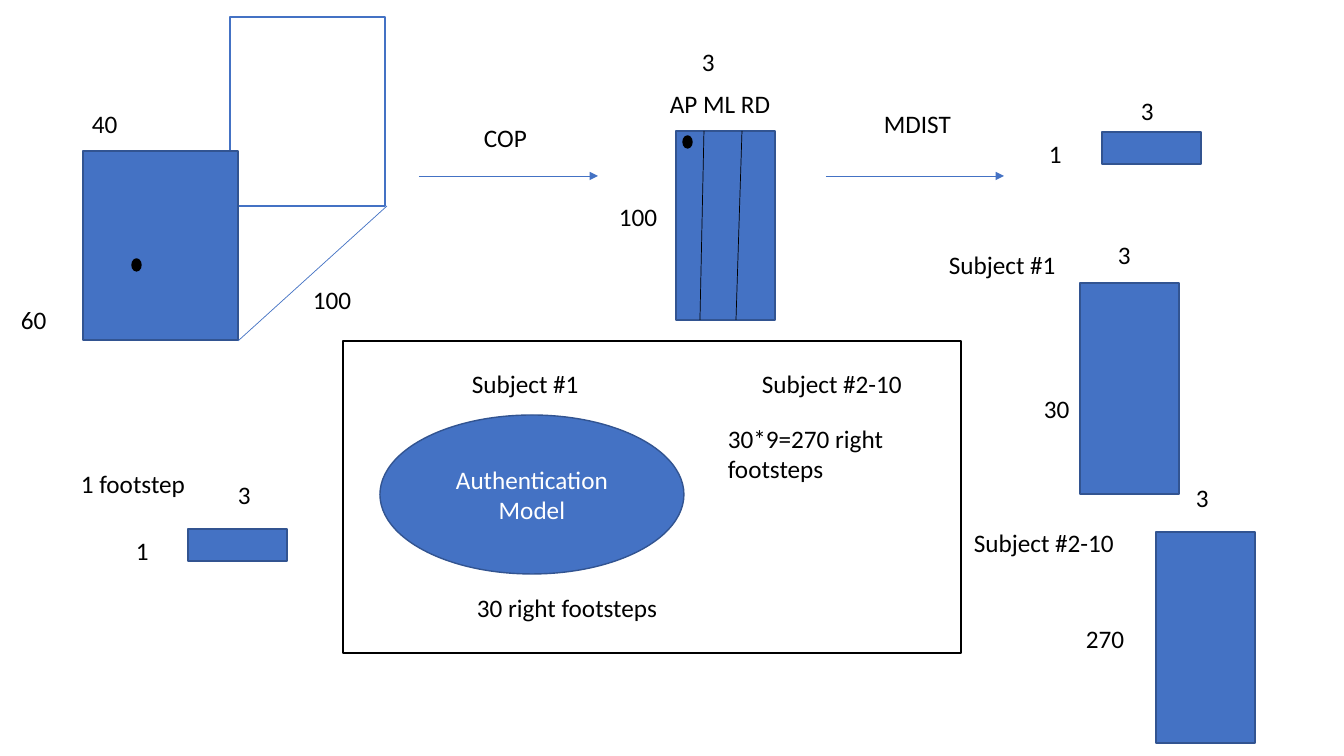
"""Build the footstep authentication pipeline slide."""
from lxml import etree
from pptx import Presentation, util as u
from pptx.dml.color import RGBColor
from pptx.enum import shapes, text
from pptx.oxml.ns import qn

SCALE = 914400 / 100.8
COLORS = {"blue": "4472C4", "edge": "325491", "black": "000000", "white": "FFFFFF"}
RECT, OVAL = shapes.MSO_SHAPE.RECTANGLE, shapes.MSO_SHAPE.OVAL


def px(*lengths):
    return [u.Emu(round(length * SCALE)) for length in lengths]


def write(frame, words, color, align):
    frame.word_wrap = True
    frame.text = words
    for paragraph in frame.paragraphs:
        paragraph.alignment = align
        paragraph.font.name = "Calibri"
        paragraph.font.size = u.Pt(18)
        paragraph.font.color.rgb = RGBColor.from_string(COLORS[color])


prs = Presentation()
prs.slide_width, prs.slide_height = px(1344, 756)
slide = prs.slides.add_slide(prs.slide_layouts[6])

figures = [
    (RECT, 343, 341, 618, 312, "white", "black", ""),
    (RECT, 230, 17, 155, 189, "white", "blue", ""),
    (RECT, 83, 151, 155, 189, "blue", "edge", ""),
    (RECT, 676, 131, 99, 189, "blue", "edge", ""),
    (OVAL, 132, 259, 9, 12, "black", "black", ""),
    (OVAL, 683, 136, 9, 12, "black", "black", ""),
    (RECT, 1102, 132, 99, 32, "blue", "edge", ""),
    (RECT, 188, 529, 99, 32, "blue", "edge", ""),
    (OVAL, 380, 415, 304, 159, "blue", "edge", "Authentication\nModel"),
    (RECT, 1080, 283, 99, 211, "blue", "edge", ""),
    (RECT, 1156, 532, 99, 211, "blue", "edge", ""),
]
for preset, left, top, width, height, fill, line, words in figures:
    figure = slide.shapes.add_shape(preset, *px(left, top, width, height))
    figure.shadow.inherit = False
    figure.fill.solid()
    figure.fill.fore_color.rgb = RGBColor.from_string(COLORS[fill])
    figure.line.color.rgb = RGBColor.from_string(COLORS[line])
    figure.line.width = u.Pt(1)
    if words:
        figure.text_frame.vertical_anchor = text.MSO_ANCHOR.MIDDLE
        write(figure.text_frame, words, "white", text.PP_ALIGN.CENTER)

strokes = [
    (238, 341, 387, 206, "blue", False),
    (419, 176, 598, 176, "blue", True),
    (826, 176, 1004, 176, "blue", True),
    (704, 131, 700, 320, "black", False),
    (742, 131, 736, 320, "black", False),
]
for x1, y1, x2, y2, color, has_arrow in strokes:
    stroke = slide.shapes.add_connector(shapes.MSO_CONNECTOR.STRAIGHT, *px(x1, y1, x2, y2))
    stroke.line.color.rgb = RGBColor.from_string(COLORS[color])
    stroke.line.width = u.Pt(0.5)
    if has_arrow:
        etree.SubElement(stroke.line._get_or_add_ln(), qn("a:tailEnd"), type="triangle")
    etree.SubElement(stroke._element.spPr, qn("a:effectLst"))

NUMBER, STEP, CAPTION = 59, 88, 222
labels = [
    ("60", 11, 299, NUMBER),
    ("40", 82, 103, NUMBER),
    ("100", 303, 279, NUMBER),
    ("COP", 474, 117, STEP),
    ("100", 609, 196, NUMBER),
    ("AP ML RD", 660, 83, 143),
    ("3", 692, 41, NUMBER),
    ("MDIST", 874, 103, STEP),
    ("1", 1039, 133, NUMBER),
    ("3", 1131, 90, NUMBER),
    ("1", 126, 530, NUMBER),
    ("3", 228, 474, NUMBER),
    ("1 footstep", 71, 463, CAPTION),
    ("Subject #1", 462, 363, CAPTION),
    ("30 right footsteps", 467, 587, CAPTION),
    ("Subject #2-10", 752, 363, CAPTION),
    ("30*9=270 right footsteps", 718, 418, 270),
    ("30", 1034, 388, NUMBER),
    ("3", 1108, 234, NUMBER),
    ("Subject #1", 939, 244, CAPTION),
    ("Subject #2-10", 964, 522, CAPTION),
    ("3", 1186, 477, NUMBER),
    ("270", 1076, 618, NUMBER),
]
for words, left, top, width in labels:
    height = 71 if width == 270 else 40
    label = slide.shapes.add_textbox(*px(left, top, width, height))
    write(label.text_frame, words, "black", text.PP_ALIGN.LEFT)

prs.save("out.pptx")
